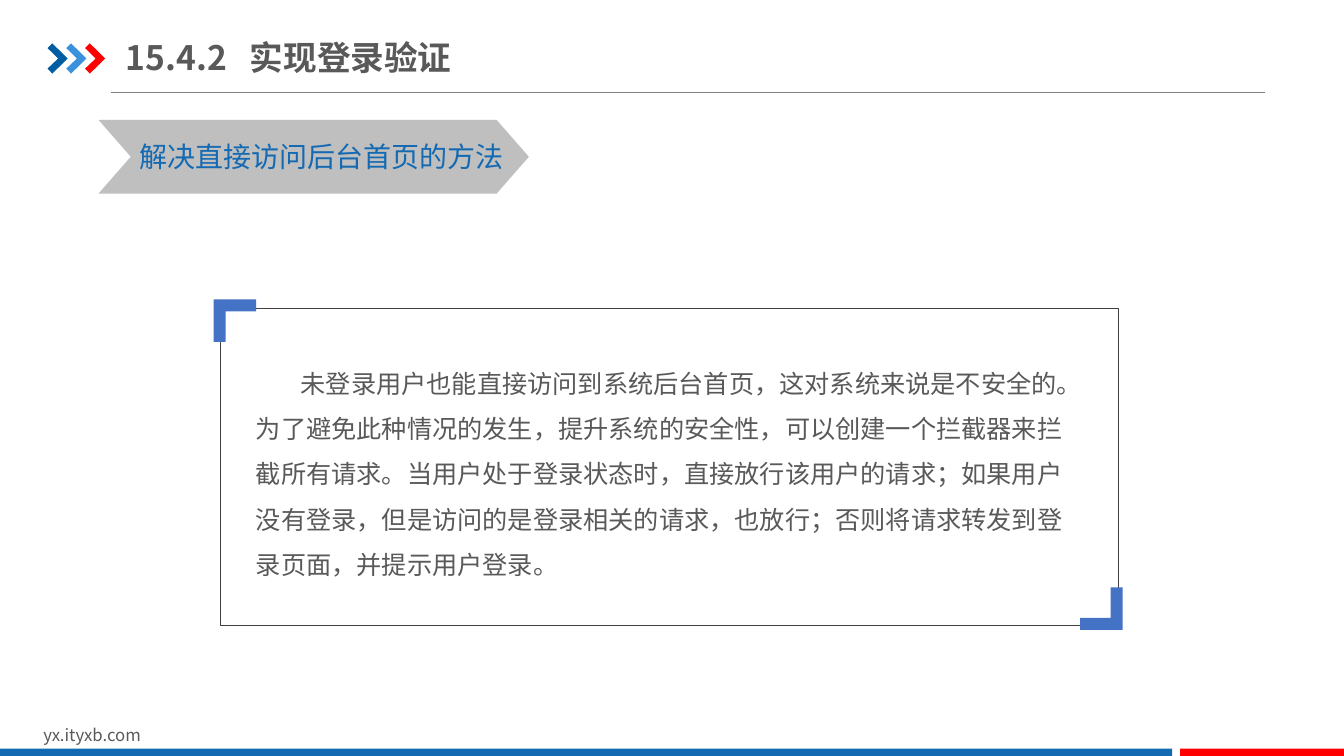
"""Build the slide on login verification for the back-office home page."""
from lxml import etree
from pptx import Presentation
from pptx import util as u
from pptx.dml.color import RGBColor
from pptx.enum import shapes, text
from pptx.oxml.ns import qn

FONT = "Noto Sans CJK SC"
COLORS = {
    "navy": "005DA2", "sky": "3992DB", "red": "FF0000", "blue": "1369B2",
    "accent": "4472C4", "silver": "BFBFBF", "rule": "808080",
    "ink": "595959", "frame": "404040",
}

deck = Presentation()
deck.slide_width, deck.slide_height = u.Pt(960), u.Pt(540)
slide = deck.slides.add_slide(deck.slide_layouts[6])


def paint(part, color):
    part.shadow.inherit = False
    part.fill.solid()
    part.fill.fore_color.rgb = RGBColor.from_string(COLORS[color])
    part.line.fill.background()


def outline(points, color):
    points = [(u.Pt(x), u.Pt(y)) for x, y in points]
    builder = slide.shapes.build_freeform(*points[0], scale=1.0)
    builder.add_line_segments(points[1:], close=True)
    paint(builder.convert_to_shape(), color)


header_rule = slide.shapes.add_connector(
    shapes.MSO_CONNECTOR.STRAIGHT, u.Pt(79.2), u.Pt(65.8), u.Pt(903.6), u.Pt(65.8))
header_rule.line.color.rgb = RGBColor.from_string(COLORS["rule"])
header_rule.line.width = u.Pt(0.5)
etree.SubElement(header_rule._element.spPr, qn("a:effectLst"))

arrow = [(0, 3.4), (3.4, 0), (14.4, 10.8), (3.4, 21.6), (0, 18), (7.6, 10.8)]
for index, color in enumerate(["navy", "sky", "red"]):
    outline([(34 + 13.4 * index + x, 31 + y) for x, y in arrow], color)

for left, width, color in [(0, 837.2, "blue"), (843, 117, "red")]:
    footer_bar = slide.shapes.add_shape(
        shapes.MSO_SHAPE.RECTANGLE, u.Pt(left), u.Pt(534.8), u.Pt(width), u.Pt(5.2))
    paint(footer_bar, color)

banner = slide.shapes.add_shape(
    shapes.MSO_SHAPE.CHEVRON, u.Pt(70.4), u.Pt(85.7), u.Pt(307.4), u.Pt(52.6))
banner.adjustments[0] = 0.438
paint(banner, "silver")

frame = slide.shapes.add_shape(
    shapes.MSO_SHAPE.RECTANGLE, u.Pt(157), u.Pt(220.3), u.Pt(641.5), u.Pt(226))
frame.shadow.inherit = False
frame.fill.background()
frame.line.color.rgb = RGBColor.from_string(COLORS["frame"])
frame.line.width = u.Pt(0.25)

corner = [(0, 0), (30.4, 0), (30.4, 8.6), (8.6, 8.6), (8.6, 30.4), (0, 30.4)]
for left, top, sign in [(152.6, 213.8, 1), (802, 450, -1)]:
    outline([(left + sign * x, top + sign * y) for x, y in corner], "accent")

middle, upper = text.MSO_ANCHOR.MIDDLE, text.MSO_ANCHOR.TOP
wordings = [
    {"wording": "yx.ityxb.com", "place": (23.8, 514, 229, 21.8), "color": "ink",
     "frame": {"word_wrap": True, "vertical_anchor": upper},
     "font": {"size": u.Pt(12)}},
    {"wording": "解决直接访问后台首页的方法", "place": (92.2, 95.8, 277.2, 31.7), "color": "blue",
     "frame": {"word_wrap": False, "vertical_anchor": upper},
     "font": {"size": u.Pt(20)}},
    {"wording": "15.4.2\t实现登录验证", "place": (90, 20.9, 277.2, 39.6), "color": "ink",
     "frame": {"word_wrap": True, "vertical_anchor": middle,
               "margin_left": 0, "margin_right": 0},
     "font": {"size": u.Pt(24), "bold": True}, "tab": 88.5},
    {"wording": "未登录用户也能直接访问到系统后台首页，这对系统来说是不安全的。"
                "为了避免此种情况的发生，提升系统的安全性，可以创建一个拦截器来拦截所有请求。"
                "当用户处于登录状态时，直接放行该用户的请求；如果用户没有登录，"
                "但是访问的是登录相关的请求，也放行；否则将请求转发到登录页面，并提示用户登录。",
     "place": (175.7, 248.4, 603.4, 174.2), "color": "ink",
     "frame": {"word_wrap": True, "vertical_anchor": upper},
     "font": {"size": u.Pt(18)}, "spacing": 1.5, "indent": 32},
]
for entry in wordings:
    box = slide.shapes.add_textbox(*[u.Pt(length) for length in entry["place"]])
    for name, value in entry["frame"].items():
        setattr(box.text_frame, name, value)
    paragraph = box.text_frame.paragraphs[0]
    if "spacing" in entry:
        paragraph.line_spacing = entry["spacing"]
    properties = paragraph._p.get_or_add_pPr()
    if "indent" in entry:
        properties.set("indent", str(u.Pt(entry["indent"])))
    if "tab" in entry:
        stops = etree.SubElement(properties, qn("a:tabLst"))
        etree.SubElement(stops, qn("a:tab"), pos=str(u.Pt(entry["tab"])), algn="l")
    run = paragraph.add_run()
    run.text = entry["wording"]
    for name, value in {"name": FONT, **entry["font"]}.items():
        setattr(run.font, name, value)
    run.font.color.rgb = RGBColor.from_string(COLORS[entry["color"]])
    etree.SubElement(run._r.get_or_add_rPr(), qn("a:ea"), typeface=FONT)

deck.save("out.pptx")
